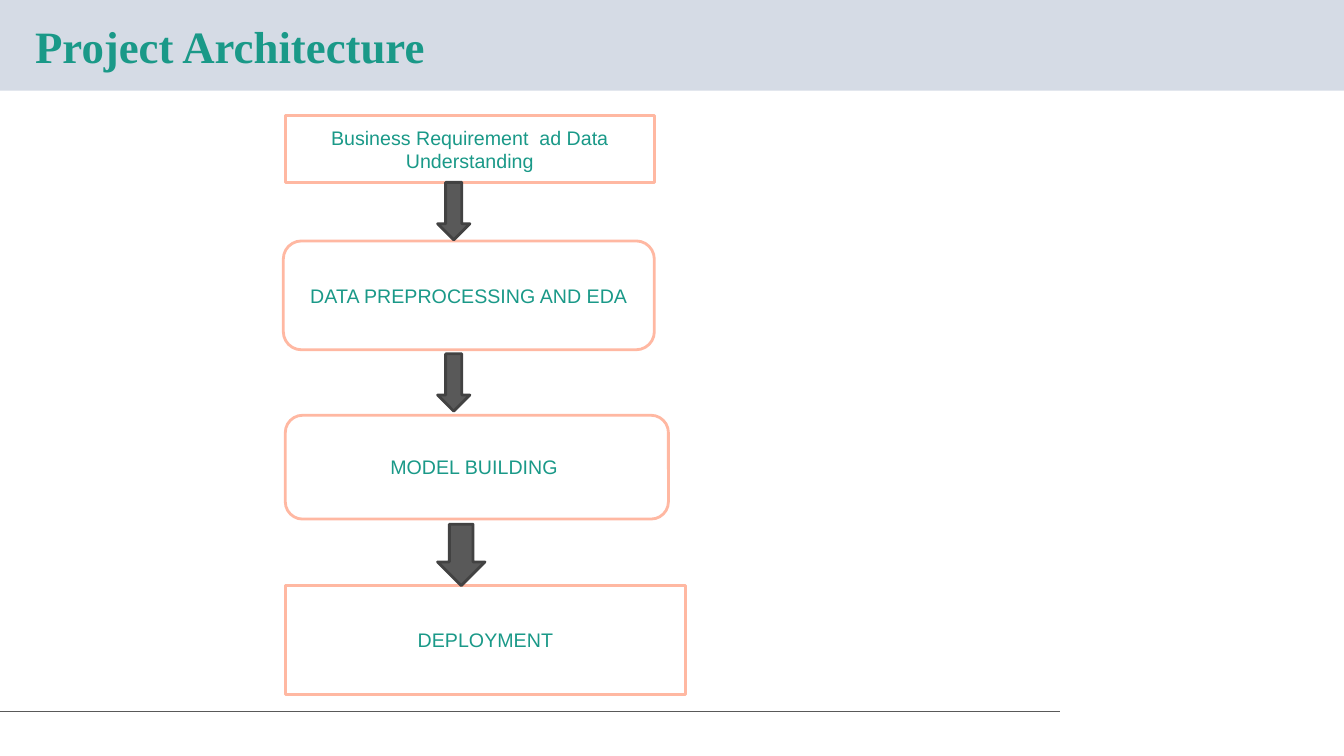
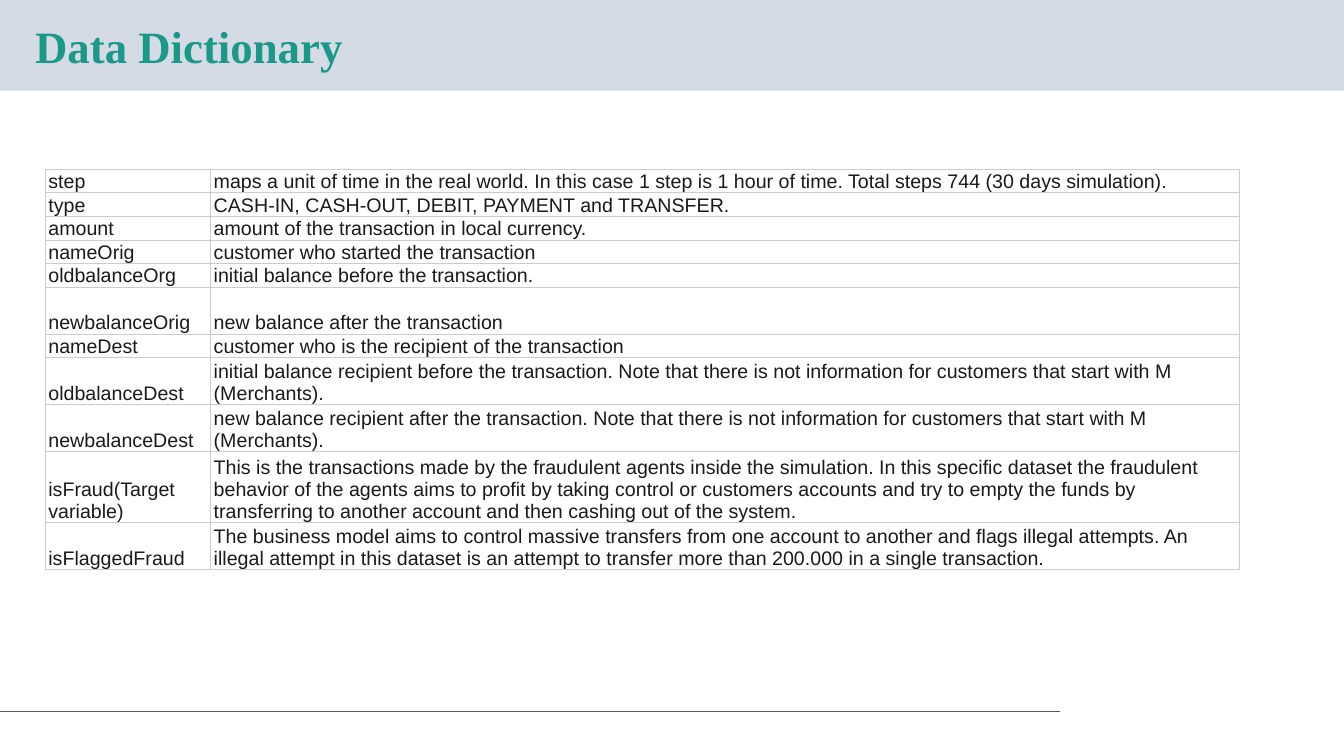
"""Build the project architecture and data dictionary slides."""
from dataclasses import dataclass

from lxml import etree
from pptx import Presentation
from pptx import util as u
from pptx.dml.color import RGBColor
from pptx.enum import shapes, text
from pptx.oxml import ns

Inches = u.Inches
Kind = shapes.MSO_SHAPE


@dataclass(frozen=True)
class Theme:
    """Colours, fonts and sizes of the deck."""
    band: str = "D5DBE5"
    accent: str = "1A9988"
    outline: str = "FFB8A2"
    paper: str = "FFFFFF"
    arrow: str = "595959"
    arrow_edge: str = "424242"
    ink: str = "1A1A1A"
    grid: str = "CCCCCC"
    title_font: str = "Times New Roman"
    body_font: str = "Arial"
    title_size: int = 32
    body_size: int = 14
    edge: float = 2
    hairline: float = 0.75


def write(frame, content, *, font, size, color, bold=False, align=None,
          anchor=text.MSO_ANCHOR.MIDDLE, spacing=None):
    """Put formatted text into a text frame."""
    frame.word_wrap = True
    frame.vertical_anchor = anchor
    paragraph = frame.paragraphs[0]
    paragraph.alignment = align
    paragraph.line_spacing = spacing
    run = paragraph.add_run()
    run.text = content
    run.font.name = font
    run.font.size = u.Pt(size)
    run.font.bold = bold
    run.font.color.rgb = RGBColor.from_string(color)


class Deck:
    """Hold the style and the current slide."""

    def __init__(self, theme):
        """Start an empty widescreen presentation."""
        self.theme = theme
        self.show = Presentation()
        self.show.slide_width = Inches(13.33)
        self.show.slide_height = Inches(7.5)
        self.slide = None

    def page(self, title):
        """Add a slide with its band, footer rule and title."""
        theme = self.theme
        self.slide = self.show.slides.add_slide(self.show.slide_layouts[6])
        self.shape(Kind.RECTANGLE, (0, 0, 13.33, 0.9), theme.band)
        self.rule(0, 10.51, 7.06)
        heading = self.slide.shapes.add_textbox(
            *map(Inches, (0.25, 0.19, 11.5, 0.59)))
        write(heading.text_frame, title, font=theme.title_font,
              size=theme.title_size, color=theme.accent, bold=True,
              spacing=0.9)

    def shape(self, kind, place, fill, edge=None):
        """Add a filled preset shape, outlined when an edge is given."""
        shape = self.slide.shapes.add_shape(kind, *map(Inches, place))
        shape.shadow.inherit = False
        shape.fill.solid()
        shape.fill.fore_color.rgb = RGBColor.from_string(fill)
        if edge:
            shape.line.color.rgb = RGBColor.from_string(edge)
            shape.line.width = u.Pt(self.theme.edge)
        else:
            shape.line.fill.background()
        return shape

    def rule(self, left, right, y):
        """Draw a thin horizontal line."""
        rule = self.slide.shapes.add_connector(
            shapes.MSO_CONNECTOR.STRAIGHT, *map(Inches, (left, y, right, y)))
        rule.line.color.rgb = RGBColor.from_string(self.theme.arrow)
        rule.line.width = u.Pt(self.theme.hairline)
        etree.SubElement(rule._element.spPr, ns.qn("a:effectLst"))

    def step(self, label, kind, place):
        """Add one labelled box of the flow."""
        theme = self.theme
        box = self.shape(kind, place, theme.paper, theme.outline)
        write(box.text_frame, label, font=theme.body_font,
              size=theme.body_size, color=theme.accent,
              align=text.PP_ALIGN.CENTER)

    def arrow(self, place):
        """Add a block arrow pointing down."""
        self.shape(Kind.DOWN_ARROW, place, self.theme.arrow,
                   self.theme.arrow_edge)

    def table(self, entries, left, top, widths, height):
        """Add a plain grid whose row heights follow the line counts."""
        total = sum(lines for *_, lines in entries)
        grid = self.slide.shapes.add_table(
            len(entries), len(widths),
            *map(Inches, (left, top, sum(widths), height))).table
        grid.first_row = grid.horz_banding = False
        for column, width in zip(grid.columns, widths):
            column.width = Inches(width)
        for row, (*contents, lines) in zip(grid.rows, entries):
            row.height = Inches(height * lines / total)
            for cell, content in zip(row.cells, contents):
                self.cell(cell, content)

    def cell(self, cell, content):
        """Fill, border and label a table cell."""
        theme = self.theme
        cell.margin_left = cell.margin_right = Inches(0.03)
        cell.margin_top = cell.margin_bottom = 0
        cell.vertical_anchor = text.MSO_ANCHOR.BOTTOM
        cell.fill.background()
        properties = cell._tc.get_or_add_tcPr()
        for index, side in enumerate("LRTB"):
            border = etree.Element(ns.qn(f"a:ln{side}"),
                                   w=str(u.Pt(theme.hairline)))
            paint = etree.SubElement(border, ns.qn("a:solidFill"))
            etree.SubElement(paint, ns.qn("a:srgbClr"), val=theme.grid)
            properties.insert(index, border)
        write(cell.text_frame, content, font=theme.body_font,
              size=theme.body_size, color=theme.ink,
              anchor=text.MSO_ANCHOR.BOTTOM)


STEPS = [
    ("Business Requirement  ad Data Understanding", Kind.RECTANGLE,
     (2.83, 1.15, 3.66, 0.66)),
    ("DATA PREPROCESSING AND EDA", Kind.ROUNDED_RECTANGLE,
     (2.81, 2.39, 3.68, 1.08)),
    ("MODEL BUILDING ", Kind.ROUNDED_RECTANGLE, (2.83, 4.12, 3.8, 1.03)),
    ("DEPLOYMENT", Kind.RECTANGLE, (2.83, 5.81, 3.97, 1.08)),
]
ARROWS = [(1.81, 0.32, 0.57), (3.51, 0.32, 0.57), (5.2, 0.47, 0.61)]
FIELDS = [
    ("step", "maps a unit of time in the real world. In this case 1 step is "
     "1 hour of time. Total steps 744 (30 days simulation).", 1),
    ("type", "CASH-IN, CASH-OUT, DEBIT, PAYMENT and TRANSFER.", 1),
    ("amount", "amount of the transaction in local currency.", 1),
    ("nameOrig", "customer who started the transaction", 1),
    ("oldbalanceOrg", "initial balance before the transaction.", 1),
    ("newbalanceOrig", "new balance after the transaction", 2),
    ("nameDest", "customer who is the recipient of the transaction", 1),
    ("oldbalanceDest", "initial balance recipient before the transaction. "
     "Note that there is not information for customers that start with M "
     "(Merchants).", 2),
    ("newbalanceDest", "new balance recipient after the transaction. Note "
     "that there is not information for customers that start with M "
     "(Merchants).", 2),
    ("isFraud(Target variable)", "This is the transactions made by the "
     "fraudulent agents inside the simulation. In this specific dataset the "
     "fraudulent behavior of the agents aims to profit by taking control or "
     "customers accounts and try to empty the funds by transferring to "
     "another account and then cashing out of the system.", 3),
    ("isFlaggedFraud", "The business model aims to control massive transfers "
     "from one account to another and flags illegal attempts. An illegal "
     "attempt in this dataset is an attempt to transfer more than 200.000 in "
     "a single transaction.", 2),
]


def main():
    """Build and save both slides."""
    deck = Deck(Theme())
    deck.page("Project Architecture")
    for label, kind, place in STEPS:
        deck.step(label, kind, place)
    for top, width, height in ARROWS:
        deck.arrow((4.34, top, width, height))
    deck.page("Data Dictionary")
    deck.table(FIELDS, 0.45, 1.68, (1.64, 10.2), 3.96)
    deck.show.save("out.pptx")


if __name__ == "__main__":
    main()
